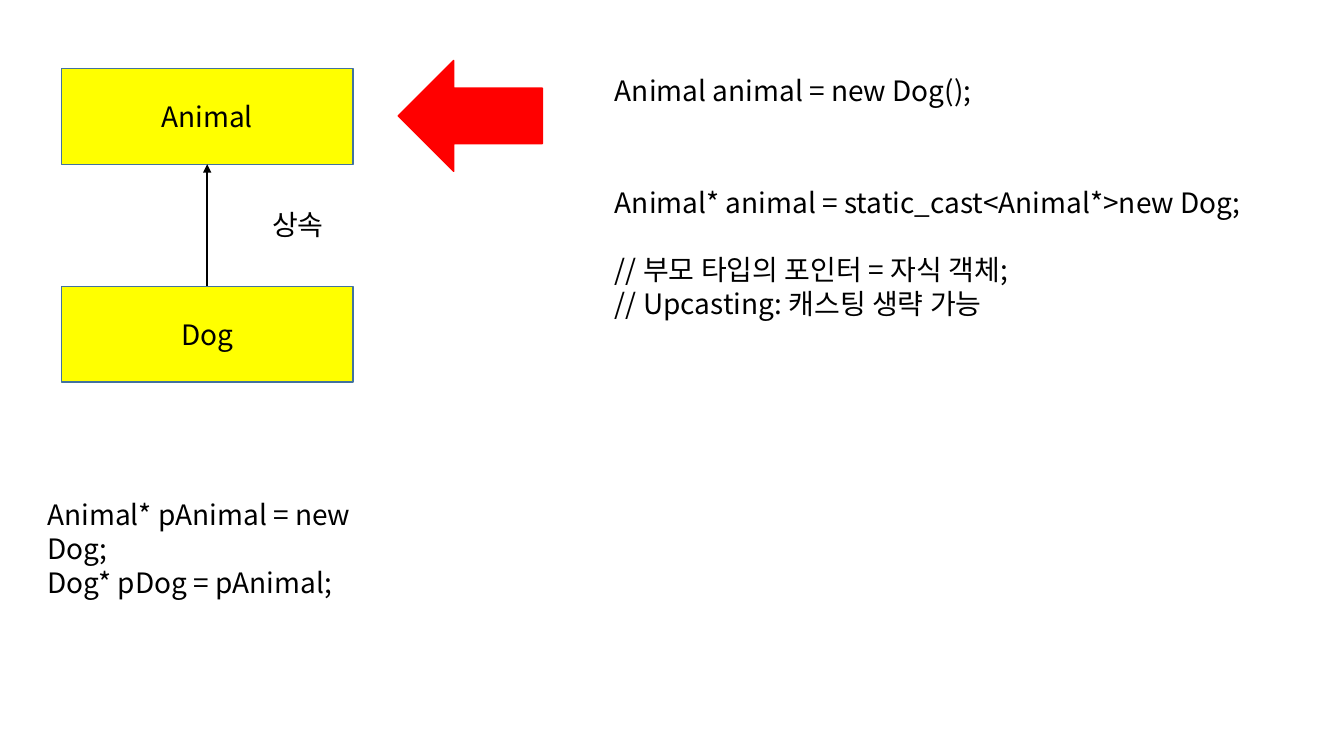
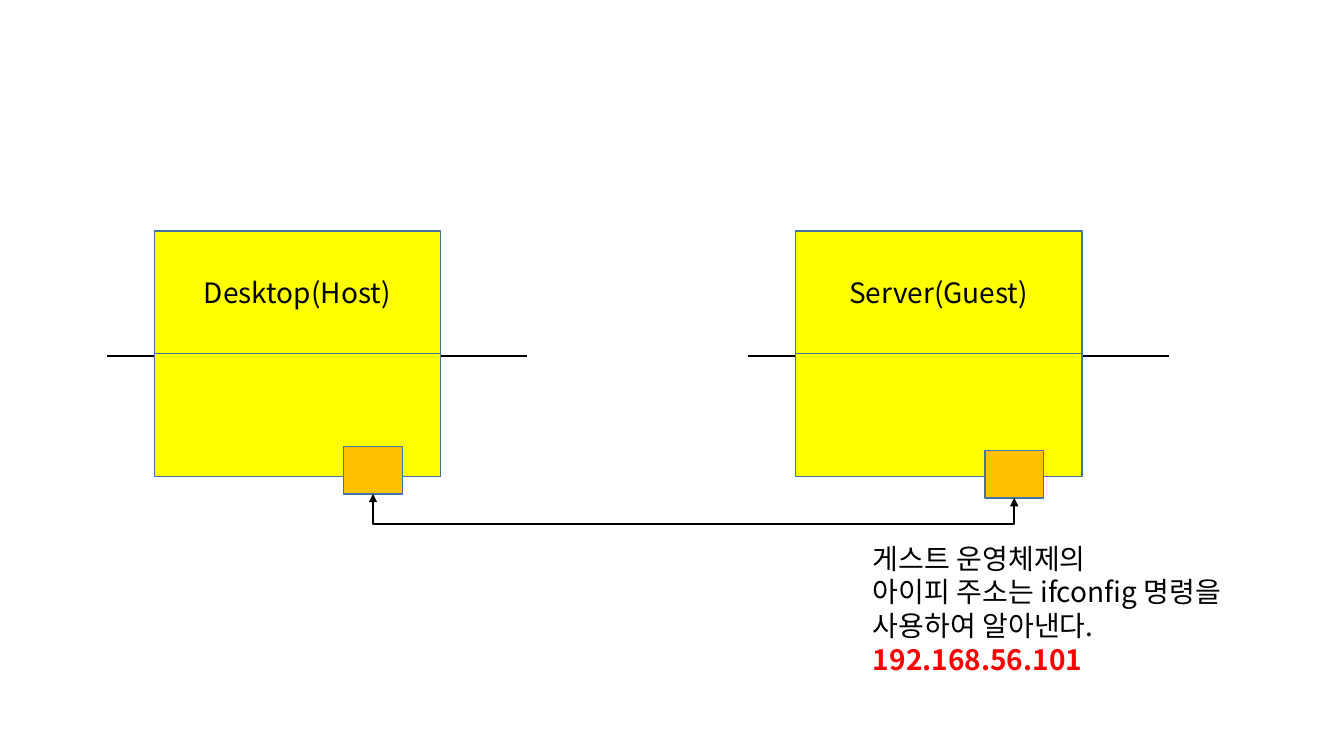
from lxml import etree
from pptx import Presentation
from pptx.dml.color import RGBColor
from pptx.enum.shapes import MSO_CONNECTOR, MSO_SHAPE
from pptx.enum.text import MSO_ANCHOR, PP_ALIGN
from pptx.oxml.ns import qn
from pptx.util import Inches, Pt

RECTANGLE, LEFT_ARROW = MSO_SHAPE.RECTANGLE, MSO_SHAPE.LEFT_ARROW
STRAIGHT, ELBOW = MSO_CONNECTOR.STRAIGHT, MSO_CONNECTOR.ELBOW
MIDDLE, CENTER = MSO_ANCHOR.MIDDLE, PP_ALIGN.CENTER

FONT, TEXT_SIZE = "Noto Sans CJK KR", 20
BLACK, RED, YELLOW, ORANGE, BORDER = "000000", "FF0000", "FFFF00", "FFC000", "43739E"
BLANK_LAYOUT = 6


def rgb(hex_color):
    """Turn a hex string into a colour."""
    return RGBColor.from_string(hex_color)


def style_paragraph(paragraph, text, color=BLACK, bold=False):
    """Write text into a paragraph in the shared font."""
    paragraph.text = text
    font = paragraph.font
    font.name, font.size, font.bold = FONT, Pt(TEXT_SIZE), bold
    font.color.rgb = rgb(color)
    etree.SubElement(font._element, qn("a:ea"), typeface=FONT)


def add_box(slide, left, top, width, height, fill, label="", border=BORDER, preset=RECTANGLE):
    """Add a filled shape with an optional centred label."""
    box = slide.shapes.add_shape(preset, Inches(left), Inches(top), Inches(width), Inches(height))
    box.shadow.inherit = False
    box.fill.solid()
    box.fill.fore_color.rgb = rgb(fill)
    box.line.color.rgb = rgb(border)
    box.line.width = Pt(1)
    if label:
        box.text_frame.vertical_anchor = MIDDLE
        style_paragraph(box.text_frame.paragraphs[0], label)
        box.text_frame.paragraphs[0].alignment = CENTER
    return box


def add_lines(slide, left, top, width, height, lines):
    """Add a text box with one paragraph per line and return its paragraphs."""
    frame = slide.shapes.add_textbox(
        Inches(left), Inches(top), Inches(width), Inches(height)).text_frame
    frame.word_wrap = True
    for index, line in enumerate(lines):
        paragraph = frame.add_paragraph() if index else frame.paragraphs[0]
        style_paragraph(paragraph, line)
    return frame.paragraphs


def add_link(slide, start, end, arrow_ends=(), kind=STRAIGHT):
    """Add a black connector with triangles at the named ends."""
    link = slide.shapes.add_connector(kind, *(Inches(value) for value in (*start, *end)))
    link.line.color.rgb = rgb(BLACK)
    link.line.width = Pt(1.5)
    for arrow_end in arrow_ends:
        etree.SubElement(link.line._get_or_add_ln(), qn(f"a:{arrow_end}"), type="triangle")
    etree.SubElement(link._element.spPr, qn("a:effectLst"))
    return link


def add_under_link(slide, start, end, low):
    """Join two points with a double arrow that runs below them at height low."""
    (x1, y1), (x2, y2) = start, end
    span, drop = x2 - x1, y2 - y1
    link = add_link(slide, start, end, ("headEnd", "tailEnd"), ELBOW)
    link.left, link.top = Inches((x1 + x2 - drop) / 2), Inches((y1 + y2 - span) / 2)
    link.width, link.height = Inches(drop), Inches(span)
    frame = link._element.spPr.find(qn("a:xfrm"))
    frame.set("rot", str(270 * 60000))
    frame.set("flipH", "1")
    adjustments = link._element.spPr.find(qn("a:prstGeom")).find(qn("a:avLst"))
    bend = round((low - y1) / drop * 100000)
    etree.SubElement(adjustments, qn("a:gd"), name="adj1", fmla=f"val {bend}")


def add_inheritance(slide, left, top):
    """Draw the parent class above the child class with the inheritance arrow."""
    width, height, step = 2.89, 0.95, 2.16
    middle = left + width / 2
    for row, class_name in enumerate(("Animal", "Dog")):
        add_box(slide, left, top + row * step, width, height, YELLOW, class_name)
    add_link(slide, (middle, top + step), (middle, top + height), ["tailEnd"])
    add_lines(slide, left + 1.99, top + 1.33, 0.76, 0.44, ["상속"])


def add_machine(slide, left, top, name, port_drop):
    """Draw a two-part machine with its port and return the port's bottom centre."""
    width, height = 2.84, 1.22
    port_width, port_height = 0.58, 0.47
    port_left, port_top = left + 1.88, top + port_drop
    axis = top + height + 0.02
    add_link(slide, (left - 0.47, axis), (left + 3.7, axis))
    for row, label in enumerate((name, "")):
        add_box(slide, left, top + row * height, width, height, YELLOW, label)
    add_box(slide, port_left, port_top, port_width, port_height, ORANGE)
    return port_left + port_width / 2, port_top + port_height


def build_upcasting(slide):
    """Build the slide on upcasting."""
    add_inheritance(slide, 0.61, 0.68)
    add_box(slide, 3.95, 0.6, 1.43, 1.1, RED, border=RED, preset=LEFT_ARROW)
    add_lines(slide, 6, 0.68, 3.85, 0.44, ["Animal animal = new Dog();"])
    cast = add_lines(slide, 6, 1.79, 6.51, 1.45, [
        "Animal* animal = static_cast<Animal*>new Dog;",
        "// 부모 타입의 포인터 = 자식 객체;",
        "// Upcasting: 캐스팅 생략 가능"])
    cast[1].space_before = Pt(24)
    add_lines(slide, 0.37, 4.89, 3.85, 1.1, [
        "Animal* pAnimal = new Dog;", "Dog* pDog = pAnimal;"])


def build_network(slide):
    """Build the slide on the host and guest machines."""
    host_port = add_machine(slide, 1.53, 2.29, "Desktop(Host)", 2.14)
    guest_port = add_machine(slide, 7.89, 2.29, "Server(Guest)", 2.18)
    add_under_link(slide, host_port, guest_port, 5.2)
    address = "192.168.56.101"
    note = add_lines(slide, 8.56, 5.32, 4.27, 1.45, [
        "게스트 운영체제의", "아이피 주소는 ifconfig 명령을", "사용하여 알아낸다.", address])
    note[-1].font.color.rgb = rgb(RED)
    note[-1].font.bold = True


deck = Presentation()
deck.slide_width, deck.slide_height = Inches(13.33), Inches(7.5)
for build in (build_upcasting, build_network):
    build(deck.slides.add_slide(deck.slide_layouts[BLANK_LAYOUT]))
deck.save("out.pptx")
